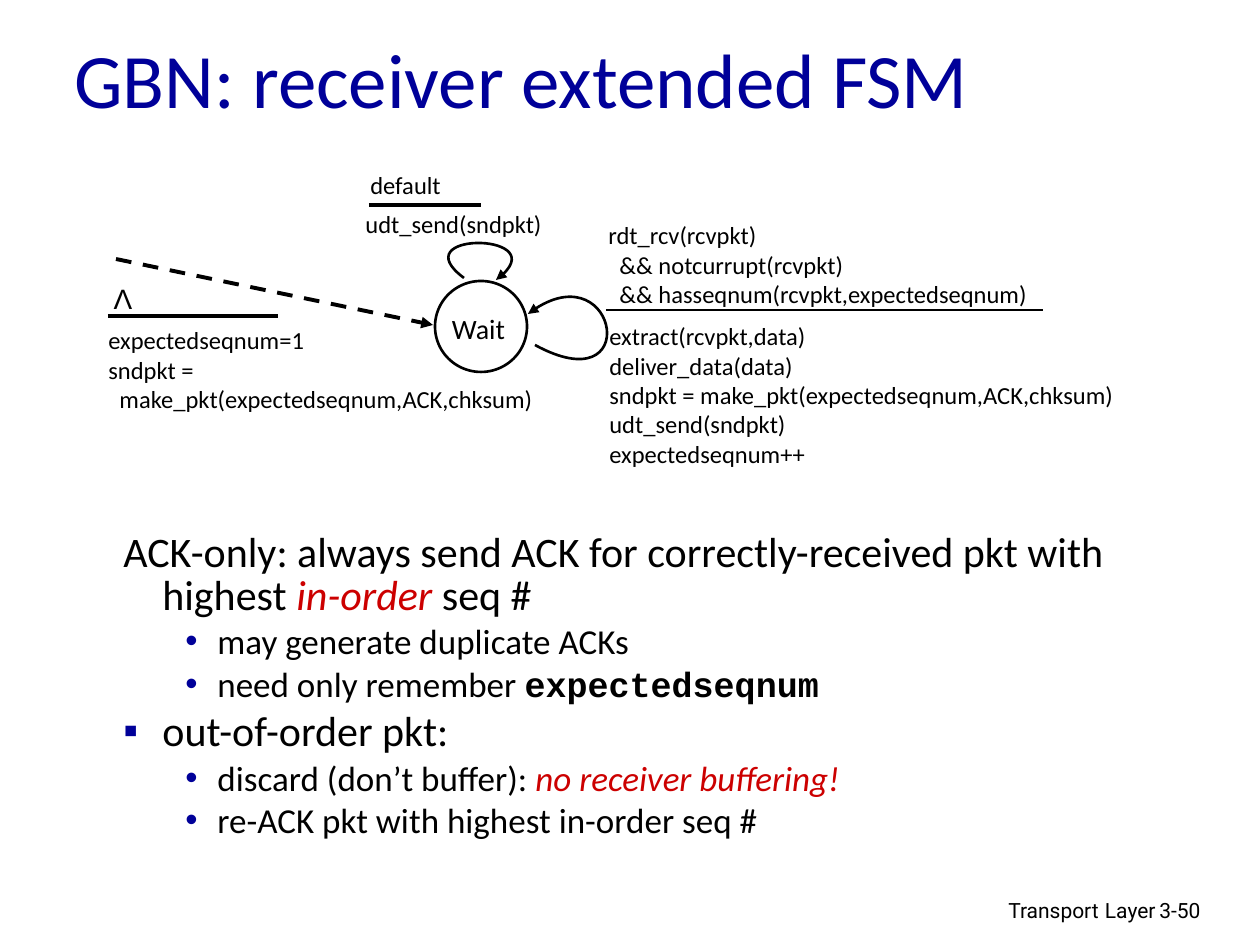
from collections import namedtuple
from lxml.etree import SubElement
from pptx import Presentation
from pptx.dml.color import RGBColor
from pptx.enum.dml import MSO_LINE
from pptx.enum.shapes import MSO_CONNECTOR, MSO_SHAPE
from pptx.enum.text import MSO_ANCHOR, PP_ALIGN
from pptx.oxml.ns import qn
from pptx.util import Emu, Pt

SCALE = 914400 / 126
Box = namedtuple("Box", "x y w h")


class Theme:
    ink = RGBColor(0x00, 0x00, 0x00)
    blue = RGBColor(0x00, 0x00, 0x99)
    red = RGBColor(0xCC, 0x00, 0x00)
    white = RGBColor(0xFF, 0xFF, 0xFF)
    sans, code, foot, greek = "Calibri", "Courier New", "Roboto", "Arial"
    head, main, sub, state, label, small = 44, 24, 20, 16, 14, 12
    thin, thick = 1.5, 2.25


def px(num):
    return Emu(round(num * SCALE))


def inset(box, x, y, w, h):
    return Box(box.x + x, box.y + y, w, h)


def style(font, size, name=Theme.sans, color=Theme.ink, **extra):
    font.color.rgb = color
    for key, value in {"size": Pt(size), "name": name, **extra}.items():
        setattr(font, key, value)


def frame(slide, box, wrap=True, anchor=MSO_ANCHOR.TOP):
    text = slide.shapes.add_textbox(*map(px, box)).text_frame
    text.word_wrap = wrap
    text.vertical_anchor = anchor
    return text


def write(slide, box, lines, size, align=PP_ALIGN.LEFT, wrap=True,
          anchor=MSO_ANCHOR.TOP, **look):
    text = frame(slide, box, wrap, anchor)
    for num, line in enumerate(lines):
        para = text.add_paragraph() if num else text.paragraphs[0]
        para.alignment = align
        run = para.add_run()
        run.text = line
        style(run.font, size, **look)


def stroke(shape, width, arrow=False):
    shape.line.color.rgb = Theme.ink
    shape.line.width = Pt(width)
    if arrow:
        SubElement(shape.line._get_or_add_ln(), qn("a:tailEnd"), type="triangle")


def rule(slide, box, start, end, width, dash=False):
    ends = [px(a + b) for a, b in zip((box.x, box.y) * 2, start + end)]
    line = slide.shapes.add_connector(MSO_CONNECTOR.STRAIGHT, *ends)
    if dash:
        line.line.dash_style = MSO_LINE.DASH
    stroke(line, width, dash)
    SubElement(line._element.spPr, qn("a:effectLst"))


def curve(slide, box, *points):
    spots = [(box.x + x, box.y + y) for x, y in points]
    maker = slide.shapes.build_freeform(*spots[0], scale=SCALE)
    maker.add_line_segments(spots[1:], close=False)
    shape = maker.convert_to_shape()
    shape.shadow.inherit = False
    shape.fill.background()
    route = next(shape._element.iter(qn("a:path")))
    bend = SubElement(route, qn("a:cubicBezTo"))
    for step in route.findall(qn("a:lnTo")):
        bend.append(step[0])
        route.remove(step)
    stroke(shape, Theme.thin, True)


def title(slide, box):
    write(slide, box, ["GBN: receiver extended FSM"], Theme.head,
          anchor=MSO_ANCHOR.MIDDLE, color=Theme.blue)


def machine(slide, box):
    node = slide.shapes.add_shape(
        MSO_SHAPE.OVAL, *map(px, inset(box, 339, 117, 92, 91)))
    node.shadow.inherit = False
    node.fill.solid()
    node.fill.fore_color.rgb = Theme.white
    stroke(node, Theme.thin)
    write(slide, inset(box, 327, 141, 111, 33), ["Wait"], Theme.state,
          PP_ALIGN.CENTER)
    write(slide, inset(box, 5, 111, 44, 47), ["Λ"], Theme.state,
          PP_ALIGN.CENTER, wrap=False, name=Theme.greek)

    labels = [
        ((262, 0, 100, 34), ["default"]),
        ((257, 39, 223, 43), ["udt_send(sndpkt)"]),
        ((500, 50, 491, 78), ["rdt_rcv(rcvpkt)",
                              "  && notcurrupt(rcvpkt)",
                              "  && hasseqnum(rcvpkt,expectedseqnum)"]),
        ((501, 151, 595, 118), ["extract(rcvpkt,data)",
                                "deliver_data(data)",
                                "sndpkt = make_pkt(expectedseqnum,ACK,chksum)",
                                "udt_send(sndpkt)",
                                "expectedseqnum++"]),
        ((0, 155, 501, 135), ["expectedseqnum=1",
                              "sndpkt =",
                              "  make_pkt(expectedseqnum,ACK,chksum)"]),
    ]
    for place, lines in labels:
        write(slide, inset(box, *place), lines, Theme.label)

    rule(slide, box, (20, 95), (337, 161), Theme.thick, dash=True)
    rule(slide, box, (273, 41), (385, 41), Theme.thick)
    rule(slide, box, (12, 152), (182, 152), Theme.thick)
    rule(slide, box, (510, 146), (947, 146), Theme.thin)
    curve(slide, box, (439, 181), (547, 240), (521, 82), (432, 150))
    curve(slide, box, (368, 114), (306, 68), (465, 68), (400, 116))


def bullet(para, left, hang, mark):
    props = para._p.get_or_add_pPr()
    props.set("marL", str(px(left)))
    props.set("indent", str(-px(hang)))
    if mark:
        tint = SubElement(props, qn("a:buClr"))
        SubElement(tint, qn("a:srgbClr"), val=str(Theme.blue))
        SubElement(props, qn("a:buFont"), typeface=Theme.greek)
        SubElement(props, qn("a:buChar"), char=mark)
    else:
        SubElement(props, qn("a:buNone"))


def notes(slide, box):
    plain = {}
    stress = {"color": Theme.red, "italic": True}
    mono = {"name": Theme.code, "bold": True}
    top, point = (39, 39, Theme.main), (94, 32, Theme.sub)
    rows = [
        (top, None, [("ACK-only: always send ACK for correctly-received pkt "
                      "with highest ", plain),
                     ("in-order", stress), (" seq #", plain)]),
        (point, "•", [("may generate duplicate ACKs", plain)]),
        (point, "•", [("need only remember ", plain),
                      ("expectedseqnum", mono)]),
        (top, "▪", [("out-of-order pkt:", plain)]),
        (point, "•", [("discard (don’t buffer): ", plain),
                      ("no receiver buffering!", stress)]),
        (point, "•", [("re-ACK pkt with highest in-order seq #", plain)]),
    ]
    text = frame(slide, box)
    for num, ((left, hang, size), mark, runs) in enumerate(rows):
        para = text.add_paragraph() if num else text.paragraphs[0]
        bullet(para, left, hang, mark)
        para.level = int(size == Theme.sub)
        para.line_spacing = 0.85
        para.space_before = Pt(size * 0.2 if num else 0)
        for words, look in runs:
            run = para.add_run()
            run.text = words
            style(run.font, size, **look)


def footer(slide, box):
    para = frame(slide, inset(box, 0, 0, 399, 39)).paragraphs[0]
    para.alignment = PP_ALIGN.RIGHT
    for words, size in (("Transport", Theme.small), (" ", Theme.label),
                        ("Layer", Theme.small)):
        run = para.add_run()
        run.text = words
        style(run.font, size, Theme.foot)
    write(slide, inset(box, 378, 3, 93, 38), ["3-50"], Theme.small,
          name=Theme.foot)


def main():
    deck = Presentation()
    deck.slide_width, deck.slide_height = px(1260), px(945)
    slide = deck.slides.add_slide(deck.slide_layouts[6])
    title(slide, Box(62, 29, 1071, 97))
    machine(slide, Box(96, 164, 1096, 290))
    notes(slide, Box(111, 527, 1123, 368))
    footer(slide, Box(769, 888, 471, 41))
    deck.save("out.pptx")


if __name__ == "__main__":
    main()
